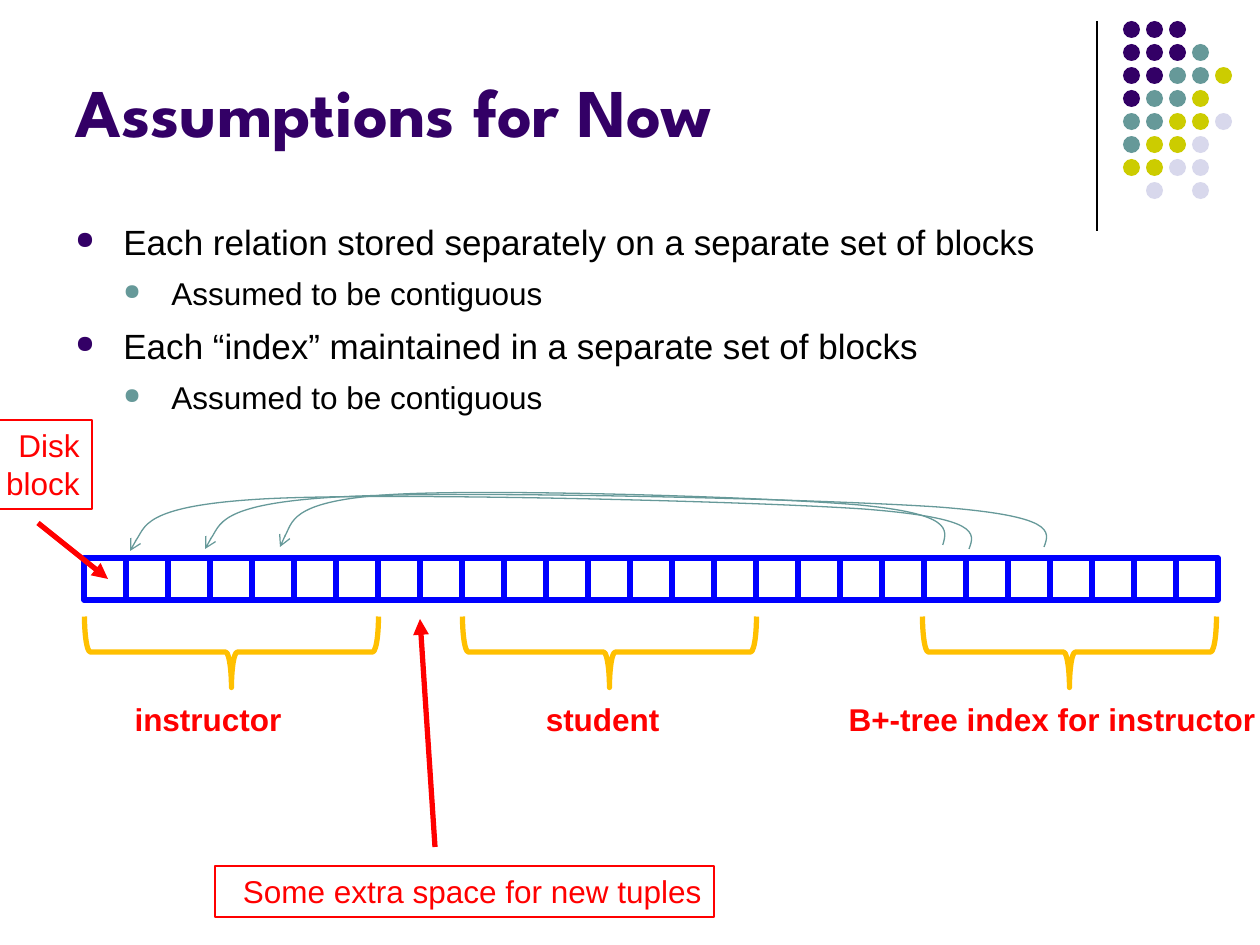
from dataclasses import dataclass
from typing import NamedTuple

from lxml import etree
from pptx import Presentation
from pptx import util as u
from pptx.dml.color import RGBColor
from pptx.enum import shapes, text
from pptx.oxml import ns

EMU_PER_PX = 914400 / 126


@dataclass(frozen=True)
class Theme:
    purple: str = "330066"
    teal: str = "669999"
    olive: str = "CCCC00"
    lilac: str = "D8D8EC"
    black: str = "000000"
    blue: str = "0000FF"
    amber: str = "FFC000"
    red: str = "FF0000"
    title_font: str = "League Spartan"
    body_font: str = "Arial"
    title_size: float = 39
    body_size: float = 20
    small_size: float = 18
    thin: float = 0.75
    thick: float = 3


THEME = Theme()


class Box(NamedTuple):
    left: int
    top: int
    width: int
    height: int


class Bullet(NamedTuple):
    wording: str
    level: int


class Extent(NamedTuple):
    label: str
    center: int
    label_box: Box


class Pointer(NamedTuple):
    tip_x: int
    tip_y: int
    stretch: float


class Note(NamedTuple):
    wording: str
    box: Box
    arrow: tuple


# Content
BULLETS = [
    Bullet("Each relation stored separately on a separate set of blocks", 0),
    Bullet("Assumed to be contiguous", 1),
    Bullet("Each “index” maintained in a separate set of blocks", 0),
    Bullet("Assumed to be contiguous", 1),
]
EXTENTS = [
    Extent("instructor", 231, Box(120, 694, 174, 50)),
    Extent("student", 609, Box(532, 694, 140, 50)),
    Extent("B+-tree index for instructor", 1069, Box(832, 694, 436, 50)),
]
POINTERS = [Pointer(130, 551, 1), Pointer(205, 549, 1), Pointer(280, 547, 0.79)]
NOTES = [
    Note("Disk block", Box(-15, 420, 107, 89), (38, 523, 108, 579)),
    Note("Some extra space for new tuples", Box(215, 866, 499, 51), (435, 847, 420, 619)),
]
# Start point, then three Bézier segments, all relative to the arrow tip
POINTER_CURVE = [
    (839, -2),
    (845, -18), (850, -33), (733, -42),
    (615, -50), (255, -59), (132, -52),
    (10, -45), (0, 0), (0, 0),
]
DOT_ROWS = ["PPP", "PPPT", "PPTTO", "PTTO", "TTOOL", "TOOL", "OOLL", " L L"]
DOT_COLORS = {"P": THEME.purple, "T": THEME.teal, "O": THEME.olive, "L": THEME.lilac}


def px(*values: float) -> list[int]:
    return [round(value * EMU_PER_PX) for value in values]


def set_values(target, values: dict) -> None:
    for name, value in values.items():
        setattr(target, name, value)


def style_line(shape, color: str, width: float, arrow: str = "") -> None:
    shape.line.color.rgb = RGBColor.from_string(color)
    shape.line.width = u.Pt(width)
    if arrow:
        line = shape.line._get_or_add_ln()
        etree.SubElement(line, ns.qn("a:tailEnd"), type=arrow)


def add_outline(slide, kind, box: Box, color: str, width: float):
    shape = slide.shapes.add_shape(kind, *px(*box))
    shape.shadow.inherit = False
    shape.fill.background()
    style_line(shape, color, width)
    return shape


def add_line(slide, ends: tuple, color: str, width: float, arrow: str = "") -> None:
    connector = slide.shapes.add_connector(shapes.MSO_CONNECTOR.STRAIGHT, *px(*ends))
    style_line(connector, color, width, arrow)
    etree.SubElement(connector._element.spPr, ns.qn("a:effectLst"))


def write(paragraph, wording: str, size: float, color: str, **font_values) -> None:
    run = paragraph.add_run()
    run.text = wording
    values = {"name": THEME.body_font, "size": u.Pt(size), "bold": False, **font_values}
    set_values(run.font, values)
    run.font.color.rgb = RGBColor.from_string(color)


def add_text_box(slide, box: Box, **frame_values):
    frame = slide.shapes.add_textbox(*px(*box)).text_frame
    set_values(frame, {"word_wrap": True, **frame_values})
    return frame


def add_bullet(paragraph, bullet: Bullet) -> None:
    properties = paragraph._p.get_or_add_pPr()
    properties.set("marL", str(px(48)[0] * (bullet.level + 1)))
    properties.set("indent", str(px(-48)[0]))
    color = etree.SubElement(properties, ns.qn("a:buClr"))
    etree.SubElement(color, ns.qn("a:srgbClr"), val=(THEME.purple, THEME.teal)[bullet.level])
    etree.SubElement(properties, ns.qn("a:buSzPct"), val="70000")
    etree.SubElement(properties, ns.qn("a:buChar"), char="●")
    set_values(paragraph, {"level": bullet.level, "line_spacing": 1.1})
    size = (THEME.body_size, THEME.small_size)[bullet.level]
    write(paragraph, bullet.wording, size, THEME.black)


def add_pointer(slide, pointer: Pointer) -> None:
    points = [px(pointer.tip_x + x * pointer.stretch, pointer.tip_y + y) for x, y in POINTER_CURVE]
    builder = slide.shapes.build_freeform(*points[0])
    builder.add_line_segments(points[1:] + points[-1:], close=False)
    shape = builder.convert_to_shape()
    shape.shadow.inherit = False
    shape.fill.background()
    style_line(shape, THEME.teal, THEME.thin, "arrow")
    # Join each three line points into one Bézier segment
    steps = list(shape._element.iter(ns.qn("a:lnTo")))
    for first in range(0, 9, 3):
        curve = etree.Element(ns.qn("a:cubicBezTo"))
        steps[first].addprevious(curve)
        for step in steps[first:first + 3]:
            curve.append(step[0])
            step.getparent().remove(step)


def add_extent(slide, extent: Extent) -> None:
    box = Box(extent.center - 35, 505, 71, 294)
    brace = add_outline(slide, shapes.MSO_SHAPE.LEFT_BRACE, box, THEME.amber, THEME.thick)
    brace.rotation = 270
    paragraph = add_text_box(slide, extent.label_box, word_wrap=False).paragraphs[0]
    paragraph.alignment = text.PP_ALIGN.RIGHT
    write(paragraph, extent.label, THEME.small_size, THEME.red, bold=True)


def add_note(slide, note: Note) -> None:
    shape = add_outline(slide, shapes.MSO_SHAPE.RECTANGLE, note.box, THEME.red, THEME.thin)
    frame = shape.text_frame
    set_values(frame, {"word_wrap": True, "vertical_anchor": text.MSO_ANCHOR.TOP})
    frame.paragraphs[0].alignment = text.PP_ALIGN.RIGHT
    write(frame.paragraphs[0], note.wording, THEME.small_size, THEME.red)
    add_line(slide, note.arrow, THEME.red, THEME.thick, "triangle")


def add_dots(slide) -> None:
    for row, codes in enumerate(DOT_ROWS):
        for column, code in enumerate(codes):
            if code in DOT_COLORS:
                box = Box(1123 + 23 * column, 21 + 23 * row, 17, 17)
                dot = slide.shapes.add_shape(shapes.MSO_SHAPE.OVAL, *px(*box))
                dot.shadow.inherit = False
                dot.fill.solid()
                dot.fill.fore_color.rgb = RGBColor.from_string(DOT_COLORS[code])
                dot.line.fill.background()


def main() -> None:
    presentation = Presentation()
    set_values(presentation, dict(zip(("slide_width", "slide_height"), px(1260, 945))))
    slide = presentation.slides.add_slide(presentation.slide_layouts[6])

    # Corner decoration
    add_line(slide, (1097, 21, 1097, 231), THEME.black, THEME.thin)
    add_dots(slide)

    # Title and bullets
    title = add_text_box(slide, Box(63, 16, 1040, 141), vertical_anchor=text.MSO_ANCHOR.BOTTOM)
    write(title.paragraphs[0], "Assumptions for Now", THEME.title_size, THEME.purple,
          name=THEME.title_font, bold=True)
    body = add_text_box(slide, Box(63, 210, 1134, 672))
    for index, bullet in enumerate(BULLETS):
        paragraph = body.add_paragraph() if index else body.paragraphs[0]
        add_bullet(paragraph, bullet)
        if index:
            paragraph.space_before = u.Pt((5, 4.5)[bullet.level])

    # Row of disk blocks with its extents, index pointers and notes
    for index in range(27):
        box = Box(84 + 42 * index, 558, 42, 42)
        add_outline(slide, shapes.MSO_SHAPE.RECTANGLE, box, THEME.blue, THEME.thick)
    for extent in EXTENTS:
        add_extent(slide, extent)
    for pointer in POINTERS:
        add_pointer(slide, pointer)
    for note in NOTES:
        add_note(slide, note)

    presentation.save("out.pptx")


if __name__ == "__main__":
    main()
